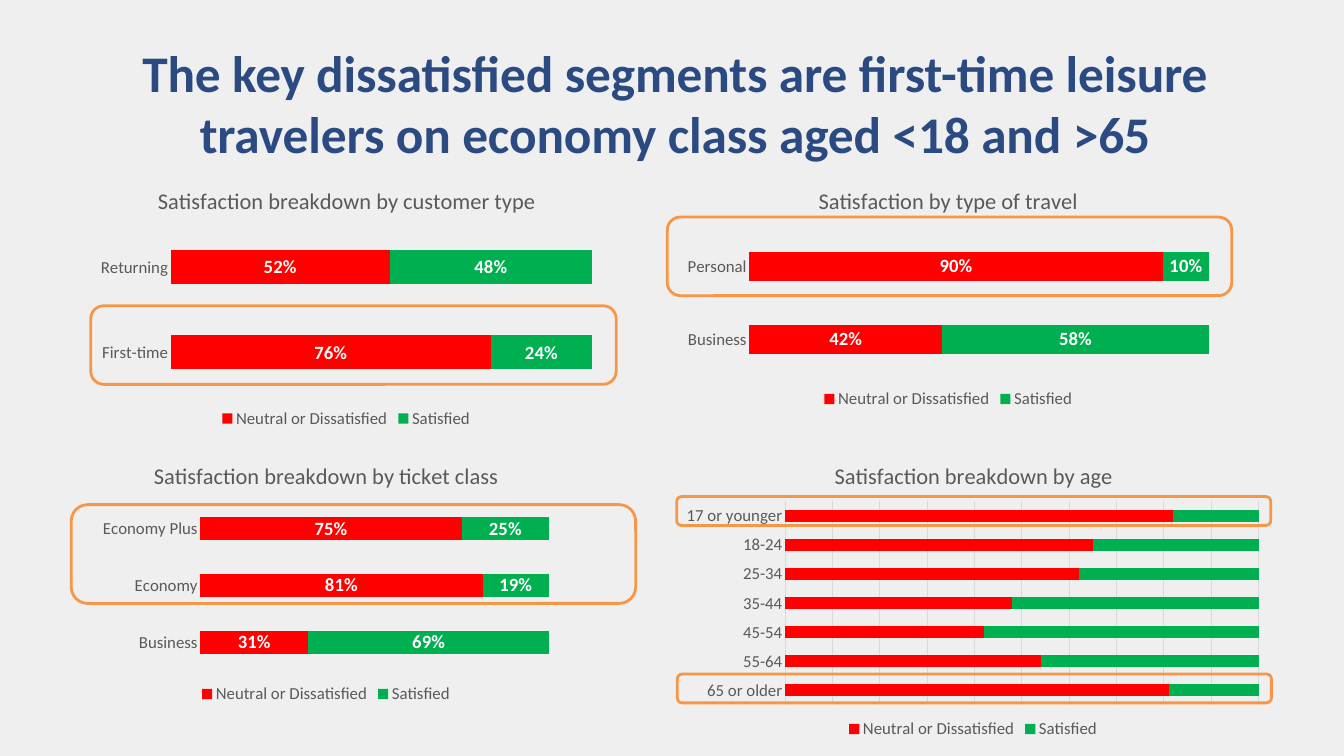
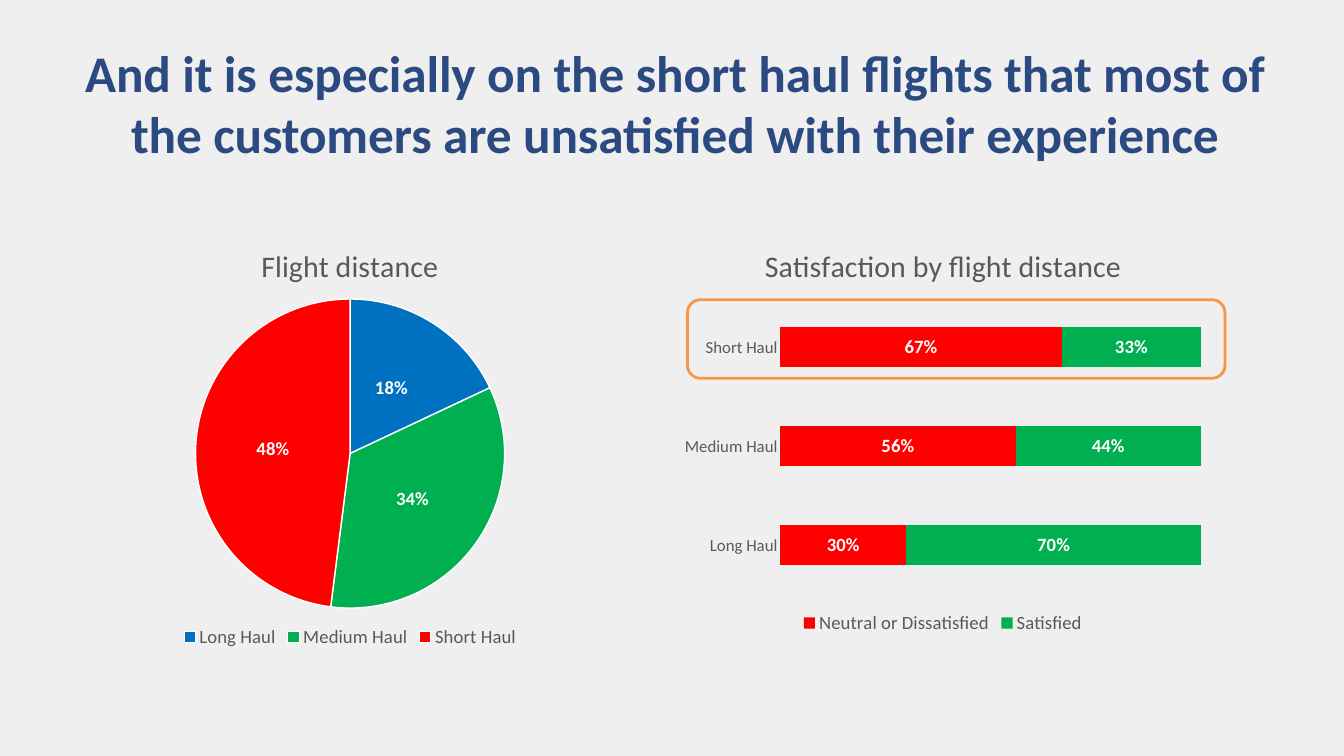
"""Build two slides on which airline passengers are dissatisfied."""
from dataclasses import dataclass

from lxml import etree
from pptx import Presentation
from pptx.chart.data import CategoryChartData
from pptx.dml.color import RGBColor
from pptx.enum.chart import XL_CHART_TYPE, XL_LABEL_POSITION, XL_LEGEND_POSITION, XL_TICK_MARK
from pptx.enum.shapes import MSO_SHAPE
from pptx.enum.text import PP_ALIGN
from pptx.oxml.ns import qn
from pptx.util import Inches, Pt

BAR, PIE = XL_CHART_TYPE.BAR_STACKED_100, XL_CHART_TYPE.PIE
CENTER, BOTTOM = XL_LABEL_POSITION.CENTER, XL_LEGEND_POSITION.BOTTOM
NO_TICK, ROUNDED = XL_TICK_MARK.NONE, MSO_SHAPE.ROUNDED_RECTANGLE
MIDDLE = PP_ALIGN.CENTER


@dataclass(frozen=True)
class Theme:
    font: str = "Calibri"
    page: str = "EFEFEF"
    title: str = "2A4A81"
    text: str = "595959"
    white: str = "FFFFFF"
    grid: str = "D9D9D9"
    frame: str = "F79646"
    bad: str = "FF0000"
    good: str = "00B050"
    other: str = "0070C0"
    title_size: float = 55
    label_size: float = 20
    axis_size: float = 18


T = Theme()
COLS, ROWS = 20, 11.25
CELL = Inches(1)
TITLE_BOX = (1.17, 0.6, 17.75, 1.86)
HAULS = ["Long Haul", "Medium Haul", "Short Haul"]

SLIDES = [
    {"title": "The key dissatisfied segments are first-time leisure travelers "
              "on economy class aged <18 and >65",
     "size": 24, "legend": 18,
     "charts": [
         {"title": "Satisfaction breakdown by customer type", "at": (1.35, 2.62, 7.6, 3.81),
          "title_at": (2.29, 2.7), "plot": (2.54, 3.34, 6.27, 2.54),
          "cats": ["First-time", "Returning"], "unhappy": [76, 52]},
         {"title": "Satisfaction by type of travel", "at": (10.07, 2.62, 8.08, 3.52),
          "title_at": (12.12, 2.7), "plot": (11.15, 3.42, 6.84, 2.17),
          "cats": ["Business", "Personal"], "unhappy": [42, 90]},
         {"title": "Satisfaction breakdown by ticket class", "at": (1.39, 6.72, 6.92, 3.81),
          "title_at": (2.23, 6.8), "plot": (2.98, 7.44, 5.19, 2.54),
          "cats": ["Business", "Economy", "Economy Plus"], "unhappy": [31, 81, 75]},
         {"title": "Satisfaction breakdown by age", "at": (10.04, 6.72, 8.88, 4.33),
          "title_at": (12.36, 6.8), "plot": (11.68, 7.46, 7.05, 3.03),
          "cats": ["17 or younger", "18-24", "25-34", "35-44", "45-54", "55-64", "65 or older"],
          "unhappy": [82, 65, 62, 48, 42, 54, 81], "detailed": True}],
     "frames": [(1.35, 4.55, 7.82, 1.17), (9.93, 3.23, 8.4, 1.17), (1.06, 7.51, 8.4, 1.47),
                (10.07, 7.39, 8.84, 0.43), (10.08, 10.03, 8.84, 0.43)]},
    {"title": "And it is especially on the short haul flights that most of "
              "the customers are unsatisfied with their experience",
     "size": 32, "legend": 20,
     "charts": [
         {"title": "Flight distance", "at": (0.92, 3.48, 8.58, 6.23),
          "title_at": (3.81, 3.57), "plot": (2.91, 4.45, 4.6, 4.6),
          "cats": HAULS, "shares": [18, 34, 48]},
         {"title": "Satisfaction by flight distance", "at": (10.03, 3.48, 8, 6.02),
          "title_at": (11.3, 3.57), "plot": (11.61, 4.43, 6.26, 4.42),
          "cats": HAULS, "unhappy": [30, 56, 67]}],
     "frames": [(10.23, 4.46, 8, 1.17)]},
]


def place(*lengths):
    return [int(n * CELL) for n in lengths]


def rgb(color):
    return RGBColor.from_string(color)


def paint(fill, color):
    fill.solid()
    fill.fore_color.rgb = rgb(color)


def style(font, size, color, bold=False):
    font.name, font.size, font.bold = T.font, Pt(size), bold
    font.color.rgb = rgb(color)


def write(tf, text, size, color, bold=False, align=MIDDLE, before=0, spacing=0):
    p = tf.paragraphs[0]
    p.alignment, p.space_before = align, Pt(before)
    r = p.add_run()
    r.text = text
    style(r.font, size, color, bold)
    if spacing:
        r.font._element.set("spc", str(int(spacing * 100)))


def set_layout(parent, index, at, box):
    """Fix a chart part at an absolute position, stored as shares of the chart."""
    for old in parent.findall(qn("c:layout")):
        parent.remove(old)
    layout = etree.Element(qn("c:layout"))
    manual = etree.SubElement(layout, qn("c:manualLayout"))
    values = {"xMode": "edge", "yMode": "edge",
              "x": (box[0] - at[0]) / at[2], "y": (box[1] - at[1]) / at[3]}
    if len(box) == 4:
        values = {"layoutTarget": "inner", **values, "w": box[2] / at[2], "h": box[3] / at[3]}
    for name, value in values.items():
        etree.SubElement(manual, qn(f"c:{name}")).set("val", str(value))
    parent.insert(index, layout)


def add_labels(series):
    labels = series.data_labels
    labels.show_value, labels.position = True, CENTER
    labels.number_format, labels.number_format_is_linked = "0%", False
    style(labels.font, T.label_size, T.white, True)


def add_base_chart(s, kind, spec, series, size, legend):
    data = CategoryChartData()
    data.categories = spec["cats"]
    for name, values in series:
        data.add_series(name, values)
    chart = s.shapes.add_chart(kind, *place(*spec["at"]), data).chart
    chart.font.name, chart.font.size = T.font, Pt(10)
    chart.has_title = chart.has_legend = True
    write(chart.chart_title.text_frame, spec["title"], size, T.text)
    chart.legend.position, chart.legend.include_in_layout = BOTTOM, False
    style(chart.legend.font, legend, T.text)
    set_layout(chart.chart_title._element, 1, spec["at"], spec["title_at"])
    plot_area = chart._chartSpace.find(".//" + qn("c:plotArea"))
    set_layout(plot_area, 0, spec["at"], spec["plot"])
    return chart


def add_satisfaction_bars(s, spec, size, legend):
    detailed = spec.get("detailed", False)
    scale = 1 if detailed else 100
    series = [("Neutral or Dissatisfied", [v / scale for v in spec["unhappy"]]),
              ("Satisfied", [(100 - v) / scale for v in spec["unhappy"]])]
    chart = add_base_chart(s, BAR, spec, series, size, legend)
    plot = chart.plots[0]
    plot.gap_width, plot.overlap, plot.vary_by_categories = 150, 100, False
    for bars, color in zip(plot.series, (T.bad, T.good)):
        paint(bars.format.fill, color)
        if not detailed:
            add_labels(bars)
    cat, val = chart.category_axis, chart.value_axis
    cat.major_tick_mark = cat.minor_tick_mark = NO_TICK
    cat.reverse_order = detailed
    style(cat.tick_labels.font, T.axis_size, T.text)
    val.visible, val.has_major_gridlines = False, detailed
    val.tick_labels.number_format, val.tick_labels.number_format_is_linked = "0%", False
    if detailed:
        for line in (cat.format.line, val.major_gridlines.format.line):
            line.color.rgb, line.width = rgb(T.grid), Pt(0.75)
    else:
        cat.format.line.fill.background()


def add_distance_pie(s, spec, size, legend):
    series = [("Series 1", [v / 100 for v in spec["shares"]])]
    slices = add_base_chart(s, PIE, spec, series, size, legend).plots[0].series[0]
    for i, color in enumerate((T.other, T.good, T.bad)):
        fmt = slices.points[i].format
        paint(fmt.fill, color)
        fmt.line.color.rgb, fmt.line.width = rgb(T.white), Pt(1.5)
    add_labels(slices)


def add_frame(s, box):
    sp = s.shapes.add_shape(ROUNDED, *place(*box))
    sp.shadow.inherit = False
    sp.fill.background()
    sp.line.color.rgb, sp.line.width = rgb(T.frame), Pt(3)


def add_title(s, text):
    tf = s.shapes.add_textbox(*place(*TITLE_BOX)).text_frame
    tf.word_wrap = True
    tf.margin_left = tf.margin_right = tf.margin_bottom = 0
    tf.margin_top = Inches(0.01)
    write(tf, text, T.title_size, T.title, bold=True, before=0.9, spacing=-0.1)


def main():
    prs = Presentation()
    prs.slide_width, prs.slide_height = place(COLS, ROWS)
    for content in SLIDES:
        s = prs.slides.add_slide(prs.slide_layouts[6])
        paint(s.background.fill, T.page)
        add_title(s, content["title"])
        for spec in content["charts"]:
            add_chart = add_distance_pie if "shares" in spec else add_satisfaction_bars
            add_chart(s, spec, content["size"], content["legend"])
        for box in content["frames"]:
            add_frame(s, box)
    prs.save("out.pptx")


if __name__ == "__main__":
    main()
